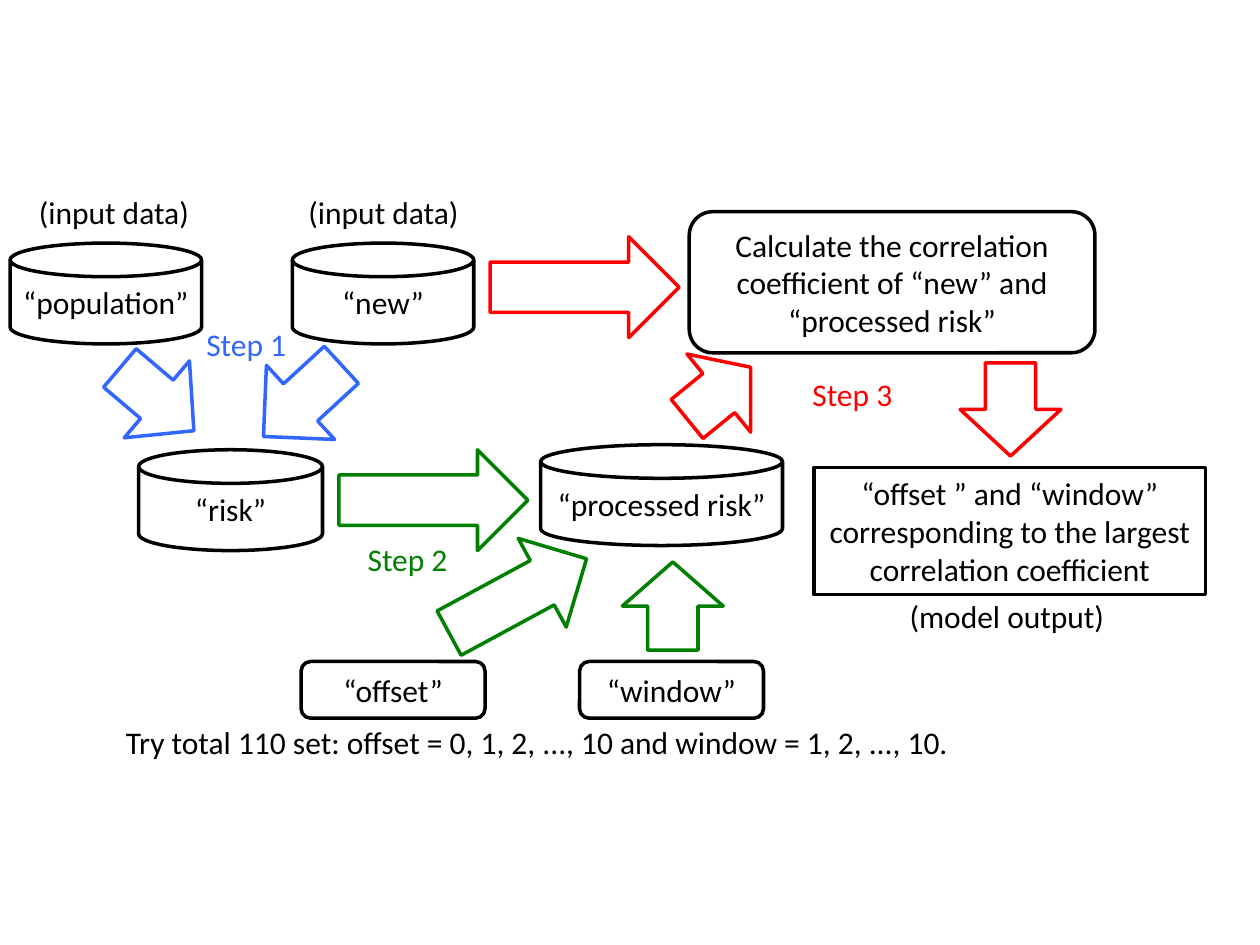
import pptx
import pptx.util
import pptx.dml.color
import pptx.enum.shapes
import pptx.enum.text

Inches = pptx.util.Inches
RGB = pptx.dml.color.RGBColor
MSO = pptx.enum.shapes.MSO_SHAPE
ALIGN = pptx.enum.text.PP_ALIGN
ANCHOR = pptx.enum.text.MSO_ANCHOR

BLACK = RGB(0x00, 0x00, 0x00)
WHITE = RGB(0xFF, 0xFF, 0xFF)
BLUE = RGB(0x33, 0x66, 0xFF)
GREEN = RGB(0x00, 0x80, 0x00)
RED = RGB(0xFF, 0x00, 0x00)

ARROW_HEIGHT = 0.8
DISK_HEIGHT = 0.8
LABEL_HEIGHT = 0.4


class Flow:
    font = {"name": "Calibri", "size": pptx.util.Pt(18)}
    line_width = pptx.util.Pt(2)

    def __init__(self, s):
        self.s = s

    def add_text(self, sp, text, color, align, frame):
        tf = sp.text_frame
        for name, value in frame.items():
            setattr(tf, name, value)
        p = tf.paragraphs[0]
        p.alignment = align
        r = p.add_run()
        r.text = text
        for name, value in self.font.items():
            setattr(r.font, name, value)
        r.font.color.rgb = color

    def outline(self, kind, box, color):
        sp = self.s.shapes.add_shape(kind, *map(Inches, box))
        sp.shadow.inherit = False
        sp.fill.solid()
        sp.fill.fore_color.rgb = WHITE
        sp.line.color.rgb = color
        sp.line.width = self.line_width
        return sp

    def node(self, kind, box, text):
        sp = self.outline(kind, box, BLACK)
        frame = {"word_wrap": True, "vertical_anchor": ANCHOR.MIDDLE,
                 "margin_left": Inches(0.05), "margin_right": Inches(0.05)}
        self.add_text(sp, text, BLACK, ALIGN.CENTER, frame)

    def disk(self, left, top, width, text):
        self.node(MSO.FLOWCHART_MAGNETIC_DISK, (left, top, width, DISK_HEIGHT), text)

    def arrow(self, left, top, width, color, rotation=0):
        sp = self.outline(MSO.RIGHT_ARROW, (left, top, width, ARROW_HEIGHT), color)
        sp.rotation = rotation

    def label(self, left, top, width, text, color=BLACK, align=ALIGN.LEFT):
        box = (left, top, width, LABEL_HEIGHT)
        sp = self.s.shapes.add_textbox(*map(Inches, box))
        self.add_text(sp, text, color, align, {"word_wrap": True})


prs = pptx.Presentation()
prs.slide_width, prs.slide_height = Inches(10), Inches(7.5)
flow = Flow(prs.slides.add_slide(prs.slide_layouts[6]))

flow.arrow(0.86, 2.77, 0.77, BLUE, 40.3)
flow.disk(1.1, 3.57, 1.46, "“risk”")
flow.disk(0.08, 1.93, 1.52, "“population”")
flow.arrow(1.98, 2.78, 0.84, BLUE, 137.4)
flow.disk(2.32, 1.93, 1.44, "“new”")
flow.arrow(2.69, 3.57, 1.5, GREEN)
flow.disk(4.29, 3.53, 1.92, "“processed risk”")

for left, text in ((2.39, "“offset”"), (4.6, "“window”")):
    flow.node(MSO.ROUNDED_RECTANGLE, (left, 5.25, 1.46, 0.45), text)
flow.label(0.9, 5.69, 6.95,
           "Try total 110 set: offset = 0, 1, 2, ..., 10 and window = 1, 2, ..., 10.")
flow.arrow(3.49, 4.33, 1.24, GREEN, 331.6)
flow.arrow(4.99, 4.41, 0.7, GREEN, 270)

flow.node(MSO.ROUNDED_RECTANGLE, (5.47, 1.68, 3.22, 1.12),
          "Calculate the correlation coefficient of “new” and “processed risk”")
flow.arrow(5.38, 2.72, 0.65, RED, 320.8)
flow.arrow(3.89, 1.88, 1.5, RED)
flow.arrow(7.65, 2.85, 0.74, RED, 90)
flow.node(MSO.RECTANGLE, (6.46, 3.71, 3.11, 1.01),
          "“offset ” and “window” corresponding to the largest correlation coefficient")

for left in (0.21, 2.35):
    flow.label(left, 1.48, 1.5, "(input data)")
steps = ((1.47, 2.53, BLUE), (2.75, 4.24, GREEN), (6.28, 2.93, RED))
for number, (left, top, color) in enumerate(steps, 1):
    flow.label(left, top, 0.97, f"Step {number}", color, ALIGN.CENTER)
flow.label(7.12, 4.69, 1.79, "(model output)")

prs.save("out.pptx")
